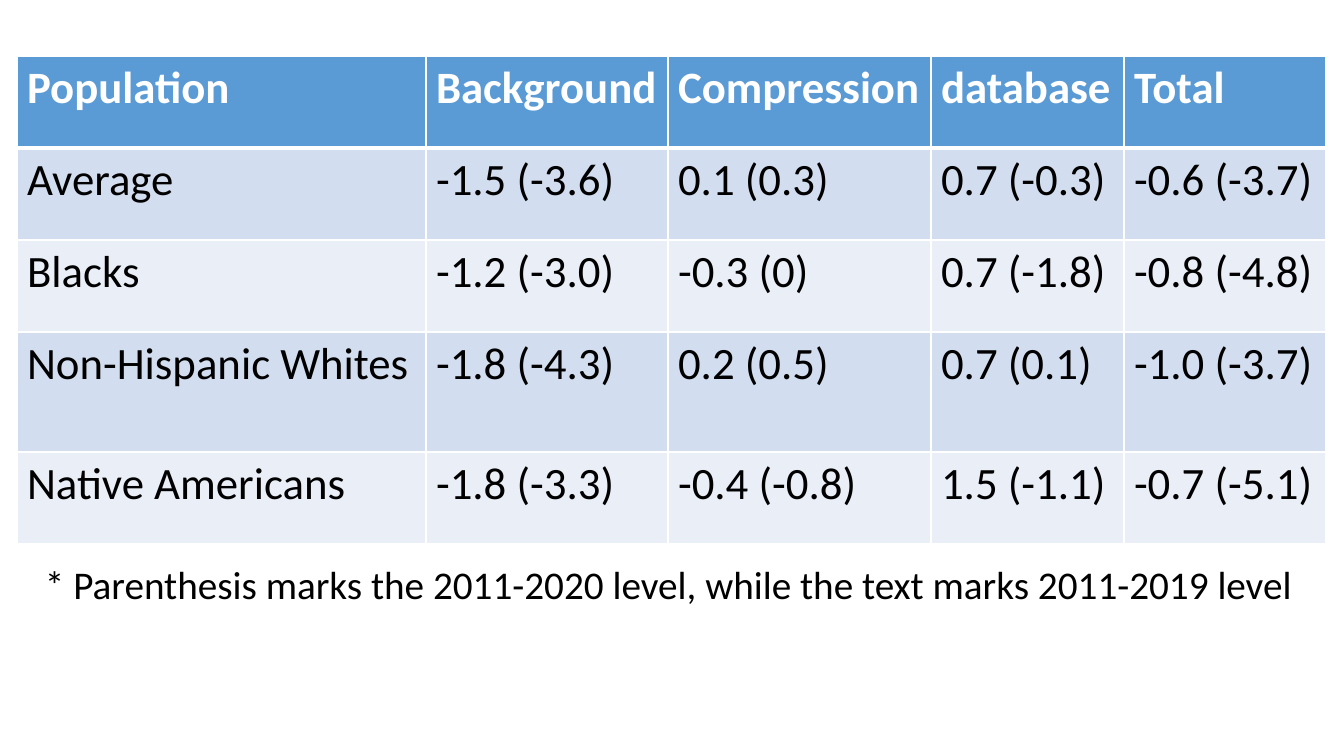
from lxml.etree import SubElement
from pptx import Presentation
from pptx.dml.color import RGBColor
from pptx.enum.text import MSO_AUTO_SIZE
from pptx.oxml.ns import qn
from pptx.util import Emu, Pt

FONT = "Calibri"
COLORS = {"head": "5B9BD5", "odd": "D2DEEF", "even": "EAEFF7",
          "rule": "FFFFFF", "light": "FFFFFF", "dark": "000000"}
WIDTHS = [409, 242, 263, 193, 202]
HEIGHTS = [92, 92, 92, 120, 92]
ROWS = [
    ["Population", "Background", "Compression", "database", "Total"],
    ["Average", "-1.5 (-3.6)", "0.1 (0.3)", "0.7 (-0.3)", "-0.6 (-3.7)"],
    ["Blacks", "-1.2 (-3.0)", "-0.3 (0)", "0.7 (-1.8)", "-0.8 (-4.8)"],
    ["Non-Hispanic Whites ", "-1.8 (-4.3)", "0.2 (0.5)", "0.7 (0.1)", "-1.0 (-3.7)"],
    ["Native Americans", "-1.8 (-3.3)", "-0.4 (-0.8)", "1.5 (-1.1)", "-0.7 (-5.1)"],
]
NOTE = "* Parenthesis marks the 2011-2020 level, while the text marks 2011-2019 level"


def px(n):
    return Emu(round(n * 914400 / 100.8))


def rgb(name):
    return RGBColor.from_string(COLORS[name])


def write(frame, text, size, color, bold=False):
    run = frame.paragraphs[0].add_run()
    run.text = text
    font = run.font
    font.name, font.size, font.bold = FONT, Pt(size), bold
    font.color.rgb = rgb(color)


def edge(cell, side, width):
    props = cell._tc.get_or_add_tcPr()
    line = SubElement(props, qn("a:ln" + side), w=str(Pt(width)))
    fill = SubElement(line, qn("a:solidFill"))
    SubElement(fill, qn("a:srgbClr"), val=COLORS["rule"])


def add_grid(slide, left, top):
    """Population table: header row, then banded rows."""
    frame = slide.shapes.add_table(len(ROWS), len(WIDTHS), px(left), px(top),
                                   px(sum(WIDTHS)), px(sum(HEIGHTS)))
    table = frame.table
    for col, width in zip(table.columns, WIDTHS):
        col.width = px(width)
    for row, height in zip(table.rows, HEIGHTS):
        row.height = px(height)
    for r, texts in enumerate(ROWS):
        head = r == 0
        shade = "head" if head else "odd" if r % 2 else "even"
        for c, text in enumerate(texts):
            cell = table.cell(r, c)
            # Borders come before the fill; the header rule is thicker
            for side in "LRTB":
                thick = (side == "B" and head) or (side == "T" and r == 1)
                edge(cell, side, 3 if thick else 1)
            cell.fill.solid()
            cell.fill.fore_color.rgb = rgb(shade)
            write(cell.text_frame, text, 32, "light" if head else "dark", head)


def add_note(slide, left, top, width, height):
    """Footnote below the table."""
    box = slide.shapes.add_textbox(px(left), px(top), px(width), px(height))
    frame = box.text_frame
    frame.word_wrap = True
    frame.auto_size = MSO_AUTO_SIZE.SHAPE_TO_FIT_TEXT
    write(frame, NOTE, 28, "dark")


deck = Presentation()
deck.slide_width, deck.slide_height = px(1344), px(756)
page = deck.slides.add_slide(deck.slide_layouts[6])
add_grid(page, 17, 56)
add_note(page, 35, 555, 1274, 58)
deck.save("out.pptx")
